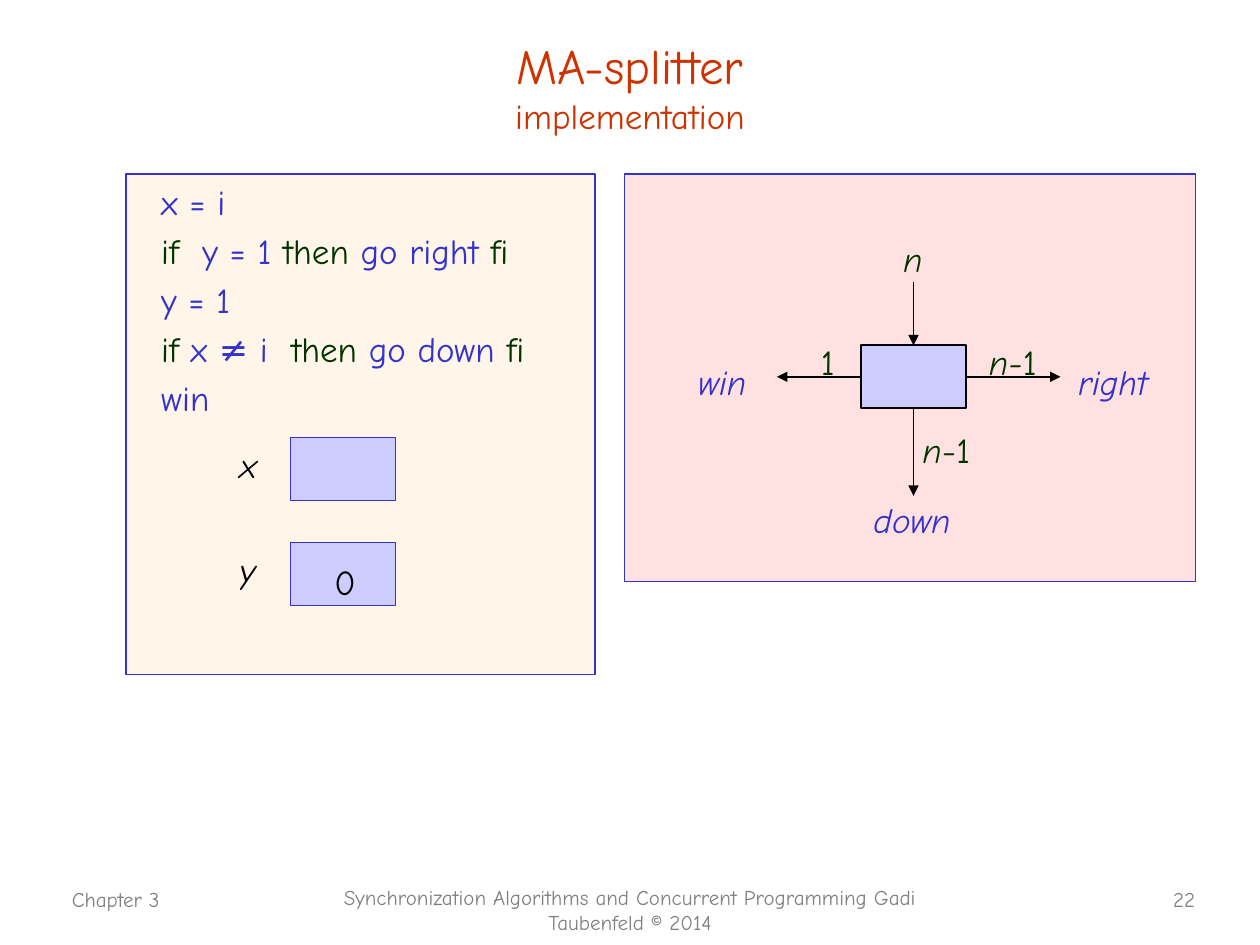
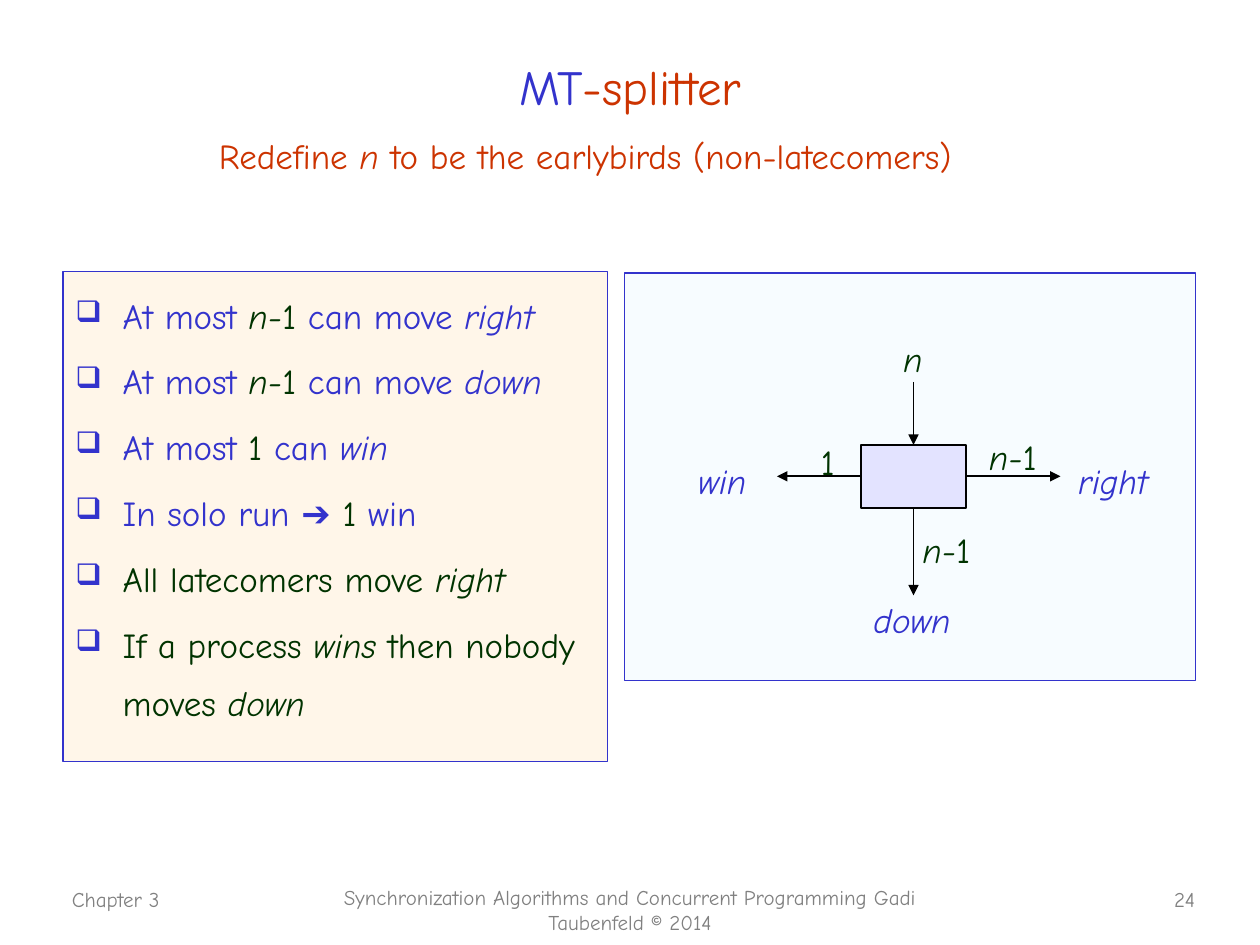
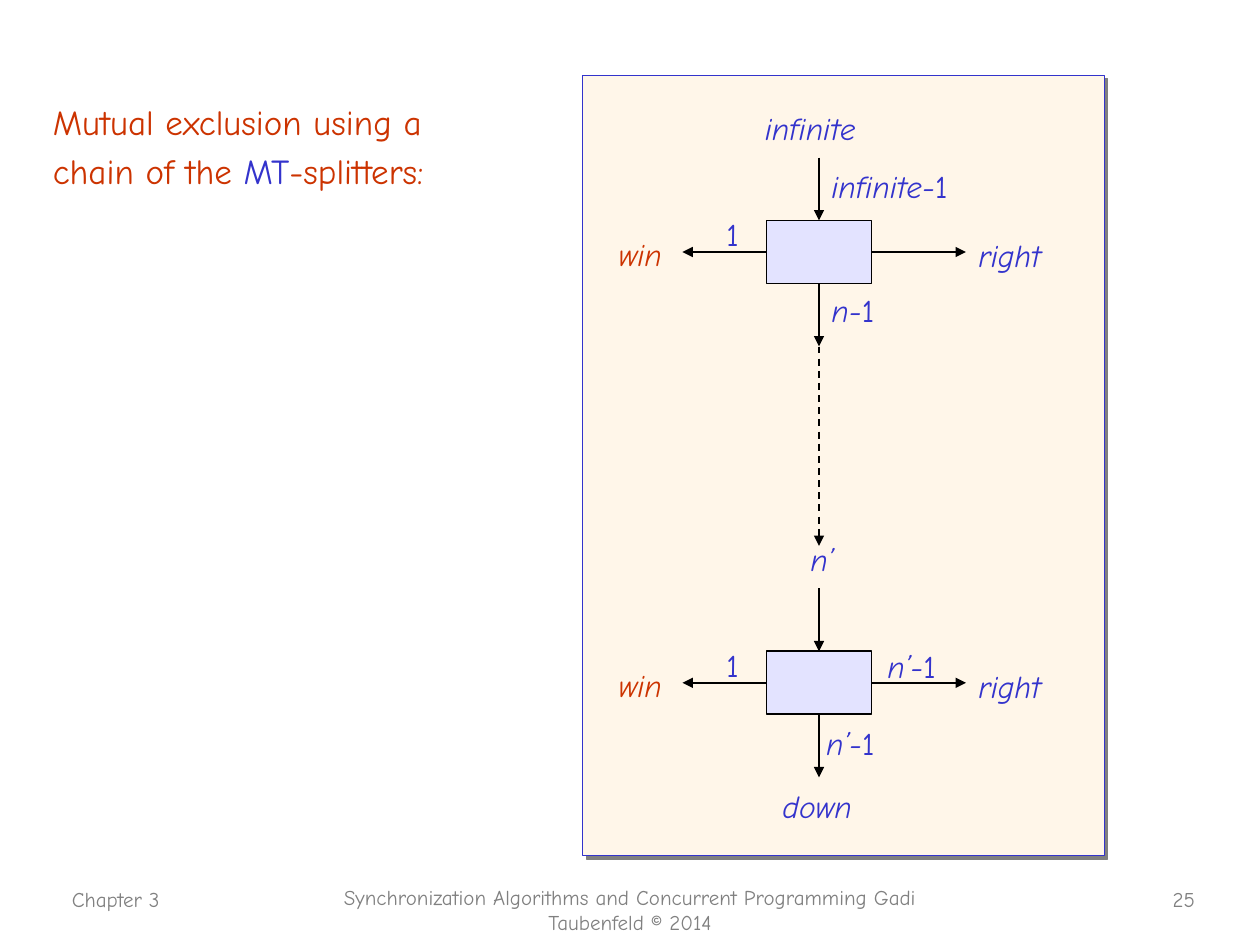
from dataclasses import dataclass
from lxml.etree import SubElement as Sub
from pptx import Presentation
from pptx.dml.color import RGBColor as Rgb
from pptx.enum.dml import MSO_LINE as Dash
from pptx.enum.shapes import MSO_CONNECTOR as Link, MSO_SHAPE as Form
from pptx.enum.text import MSO_ANCHOR as Anchor, MSO_AUTO_SIZE as Fit, PP_ALIGN as Align
from pptx.oxml.ns import qn
from pptx.util import Pt


@dataclass(frozen=True)
class Theme:
    font: str = "Comic Neue"
    red: str = "CC3300"
    blue: str = "3333CC"
    green: str = "003300"
    gray: str = "808080"
    black: str = "000000"
    cream: str = "FFF6E9"
    pink: str = "FFE1E1"
    ice: str = "F7FCFF"
    lilac: str = "CCCCFF"
    pale: str = "E3E3FF"
    head: int = 28
    body: int = 20
    note: int = 18
    foot: int = 12


look = Theme()


def write(page, text, spot, size=look.body, tone="blue", align=Align.LEFT,
          anchor=Anchor.TOP, fill=None, edge="blue", thick=0.75, lead=1.0,
          gap=0, left=0, mark=None, shape=None):
    spot = [Pt(n) for n in spot]
    if shape is not None:
        shape.left, shape.top, shape.width, shape.height = spot
    elif fill:
        shape = page.shapes.add_shape(Form.RECTANGLE, *spot)
        shape.shadow.inherit = False
        shape.fill.solid()
        shape.fill.fore_color.rgb = Rgb.from_string(getattr(look, fill))
        shape.line.color.rgb = Rgb.from_string(getattr(look, edge))
        shape.line.width = Pt(thick)
    else:
        shape = page.shapes.add_textbox(*spot)
    frame = shape.text_frame
    frame.word_wrap = True
    frame.auto_size = Fit.NONE
    frame.vertical_anchor = anchor
    for row, line in enumerate(text.split("\n")):
        para = frame.add_paragraph() if row else frame.paragraphs[0]
        para.alignment = align
        para.line_spacing = lead
        para.space_before = Pt(gap)
        prop = para._p.get_or_add_pPr()
        prop.set("marL", str(Pt(left)))
        prop.set("indent", str(-Pt(left) if mark else 0))
        if mark:
            Sub(Sub(prop, qn("a:buClr")), qn("a:srgbClr"), val=look.blue)
            Sub(prop, qn("a:buSzPct"), val="85000")
            Sub(prop, qn("a:buChar"), char=mark)
        hue = tone
        for part in line.split("{"):
            if "}" in part:
                hue, part = part.split("}")
            for turn, bit in enumerate(part.split("*")):
                if bit:
                    run = para.add_run()
                    run.text = bit
                    run.font.name = look.font
                    run.font.size = Pt(size)
                    run.font.italic = turn % 2 == 1
                    run.font.color.rgb = Rgb.from_string(getattr(look, hue))
    return shape


def arrow(page, x1, y1, x2, y2, dash=False):
    line = page.shapes.add_connector(Link.STRAIGHT, Pt(x1), Pt(y1), Pt(x2), Pt(y2))
    line.line.color.rgb = Rgb.from_string(look.black)
    line.line.width = Pt(1)
    if dash:
        line.line.dash_style = Dash.DASH
    prop = line.element.spPr
    Sub(prop.find(qn("a:ln")), qn("a:tailEnd"), type="triangle")
    Sub(prop, qn("a:effectLst"))


deck = Presentation()
deck.slide_width, deck.slide_height = Pt(720), Pt(540)

pages = []
for count in (22, 24, 25):
    page = deck.slides.add_slide(deck.slide_layouts[5])
    pages.append(page)
    for text, spot, align in (
        (str(count), (656, 503, 34, 22), Align.RIGHT),
        ("Chapter 3", (34, 503, 150, 36), Align.LEFT),
        ("Synchronization Algorithms and Concurrent Programming Gadi Taubenfeld © 2014",
         (186, 502, 348, 36), Align.CENTER),
    ):
        write(page, text, spot, size=look.foot, tone="gray", align=align)
code, rules, chain = pages

top = (54, 16, 612, 66)
title = write(code, "MA-splitter\nimplementation", top, size=look.head, tone="red",
              align=Align.CENTER, anchor=Anchor.MIDDLE, shape=code.shapes.title)
title.text_frame.paragraphs[1].runs[0].font.size = Pt(look.body)
write(rules, "MT{red}-splitter", top, size=look.head, align=Align.CENTER,
      anchor=Anchor.MIDDLE, shape=rules.shapes.title)
write(chain, "Mutual exclusion using a\nchain of the {blue}MT{red}-splitters:",
      (23, 54, 275, 324), tone="red", gap=4, shape=chain.shapes.title)

write(code, "x = i\n"
      "{green}if{blue}  y = 1 {green}then{blue} go right {green}fi\n"
      "y = 1\n"
      "{green}if{blue} x ≠ i  {green}then{blue} go down {green}fi\n"
      "win", (72, 99.4, 268, 286), fill="cream", gap=4, left=13)
for name, y in (("x", 250), ("y", 310)):
    write(code, "", (166, y, 60, 36), fill="lilac", thick=1)
    write(code, f"*{name}*", (130, y - 12, 24, 43), tone="black", lead=1.5)
write(code, "0", (184, 305, 24, 43), tone="black", lead=1.5)

write(rules, "Redefine *n *to be the earlybirds (non-latecomers)",
      (118, 64, 484, 45), tone="red", lead=1.4)
write(rules, "At most {green}*n-*1{blue} can move *right*\n"
      "At most {green}*n-*1{blue} can move *down*\n"
      "At most {green}1{blue} can *win*\n"
      "In solo run ➔ {green}1{blue} win\n"
      "{green}All latecomers move *right*\n"
      "{green}If a process *wins* then nobody moves *down*",
      (36, 155, 311, 280), fill="cream", lead=1.4, gap=4, left=27, mark="❑")

write(code, "", (357, 99.4, 326, 233), fill="pink")
write(rules, "", (357, 156, 326, 233), fill="ice")
panel = write(chain, "", (333, 43, 298, 446), fill="cream")
cast = Sub(panel.element.spPr.find(qn("a:effectLst")), qn("a:outerShdw"),
           blurRad="0", dist=str(Pt(2.8)), dir="2700000", algn="ctr", rotWithShape="0")
Sub(cast, qn("a:srgbClr"), val=look.gray)

base = [
    ("*win*", -130, -25, 84), ("*right*", 87, -25, 84), ("*down*", -30, 54, 84),
    ("{green}*n*", -13, -95, 24), ("{green}1", -60, -36, 24),
    ("{green}*n-*1", -2, 14, 54),
]
ends = [("{red}*win*", -121.5, -24, 84), ("*right*", 84, -23.5, 84), ("1", -60, -35.5, 24)]
nodes = (
    (code, 522, 215.3, "lilac", look.body, 50, base + [("{green}*n-*1", 36, -36, 54)]),
    (rules, 522, 272.2, "pale", look.body, 50, base + [("{green}*n-*1", 36, -39, 54)]),
    (chain, 468, 144, "pale", look.note, 36, ends + [
        ("*infinite*", -38, -96, 90), ("*infinite-*1", 0, -63, 156), ("*n-*1", 0, 8, 54)]),
    (chain, 468, 390.2, "pale", look.note, 36, ends + [
        ("*n’*", -12, -96, 54), ("*n’-*1", 32, -35, 54), ("*n’-*1", -3, 9, 54),
        ("*down*", -28, 45, 84)]),
)
for page, x, y, fill, size, drop, tags in nodes:
    write(page, "", (x - 30, y - 18, 60, 36), fill=fill, edge="black", thick=1)
    for text, dx, dy, wide in tags:
        write(page, text, (x + dx, y + dy, wide, 2.15 * size), size=size, lead=1.5)
    arrow(page, x, y - 54, x, y - 18)
    arrow(page, x, y + 18, x, y + 18 + drop)
    arrow(page, x + 30, y, x + 84, y)
    arrow(page, x - 30, y, x - 78, y)
arrow(chain, 468, 198, 468, 312, dash=True)

deck.save("out.pptx")
